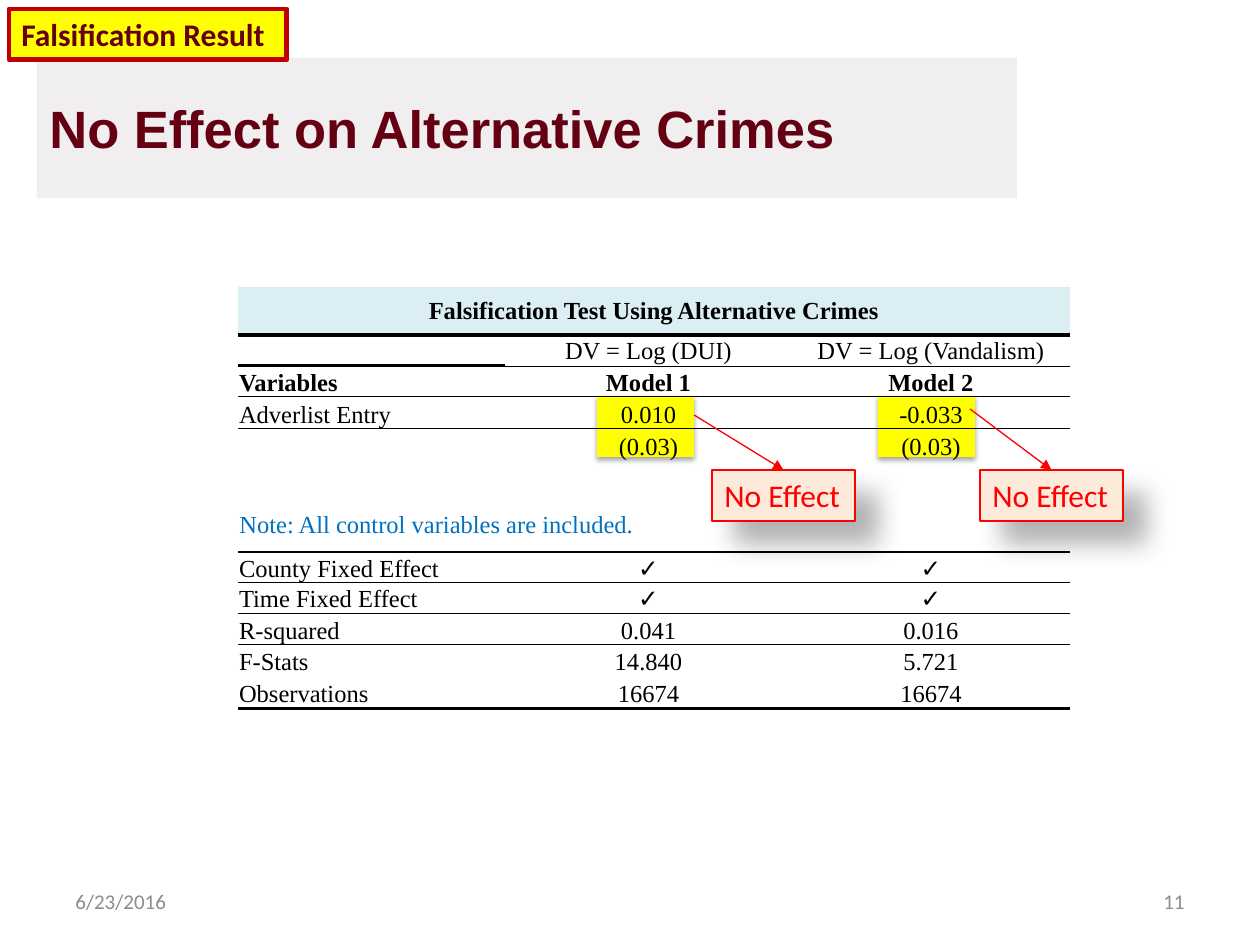
from dataclasses import dataclass
from lxml import etree
from pptx import Presentation
from pptx import util as u
from pptx.dml.color import RGBColor
from pptx.enum import shapes, text
from pptx.oxml.ns import qn


@dataclass(frozen=True)
class Theme:
    """Colours, fonts and type sizes of the slide."""
    wine: str = "650013"
    pale: str = "F0EEEF"
    gold: str = "FFFF00"
    red: str = "FF0000"
    brick: str = "C00000"
    peach: str = "FDEADA"
    sky: str = "DBEEF4"
    blue: str = "0070C0"
    grey: str = "8C8C8C"
    black: str = "000000"
    sans: str = "Calibri"
    head: str = "Arial"
    serif: str = "Times New Roman"
    big: int = 30
    mid: int = 18
    body: int = 14
    small: int = 12


T = Theme()
LEFT, MID, RIGHT = text.PP_ALIGN.LEFT, text.PP_ALIGN.CENTER, text.PP_ALIGN.RIGHT
PLAIN = "{2D5ABB26-0587-4C30-8999-92F81FD0307C}"
TICK = "✓"
ROWS = [
    ("Falsification Test Using Alternative Crimes", "", ""),
    ("", "DV = Log (DUI)", "DV = Log (Vandalism)"),
    ("Variables", "Model 1", "Model 2"),
    ("Adverlist Entry", "0.010", "-0.033"),
    ("", "(0.03)", "(0.03)"),
    ("", "", ""),
    ("", "", ""),
    ("", "", ""),
    ("County Fixed Effect", TICK, TICK),
    ("Time Fixed Effect", TICK, TICK),
    ("R-squared", "0.041", "0.016"),
    ("F-Stats", "14.840", "5.721"),
    ("Observations", "16674", "16674"),
]
COLS = (267, 287, 278)
HIGH = (48, 31, 30, 32, 32, 30, 30, 29, 31, 30, 31, 31, 32)
RULES = {0: 2, 1: 0.5, 2: 0.5, 7: 1, 9: 0.5, 12: 2}
BOLD = (0, 2)
LOOSE = (3, 4, 10, 11, 12)


def px(n):
    """Turn pixels into EMU."""
    return u.Emu(round(n * 914400 / 126))


def rgb(code):
    """Turn a hex code into a colour."""
    return RGBColor.from_string(code)


def style(para, font, size, color, bold=False, align=LEFT):
    """Format a paragraph and its runs."""
    para.alignment = align
    for run in para.runs:
        run.font.name, run.font.size, run.font.bold = font, u.Pt(size), bold
        run.font.color.rgb = rgb(color)


def write(shape, words, *look, wrap=True, anchor=text.MSO_ANCHOR.TOP, **more):
    """Put one styled line in a shape."""
    frame = shape.text_frame
    frame.text = words
    frame.word_wrap = wrap
    frame.vertical_anchor = anchor
    style(frame.paragraphs[0], *look, **more)


def label(slide, box, *look, **more):
    """Add a text box."""
    write(slide.shapes.add_textbox(*map(px, box)), *look, **more)


def block(slide, box, fill, line=None, width=0.75):
    """Add a filled rectangle."""
    shape = slide.shapes.add_shape(shapes.MSO_SHAPE.RECTANGLE, *map(px, box))
    shape.shadow.inherit = False
    shape.fill.solid()
    shape.fill.fore_color.rgb = rgb(fill)
    if line:
        shape.line.color.rgb = rgb(line)
        shape.line.width = u.Pt(width)
    else:
        shape.line.fill.background()
    return shape


def shade(shape, alpha, blur, dist, angle):
    """Give a shape an outer shadow."""
    effects = shape._element.spPr.find(qn("a:effectLst"))
    outer = etree.SubElement(
        effects, qn("a:outerShdw"), blurRad=str(u.Pt(blur)), dist=str(u.Pt(dist)),
        dir=str(angle * 60000), algn="tl", rotWithShape="0")
    color = etree.SubElement(outer, qn("a:srgbClr"), val=T.black)
    etree.SubElement(color, qn("a:alpha"), val=str(alpha * 1000))


def callout(slide, left, start):
    """Add a boxed remark with an arrow that leads to it."""
    box = block(slide, (left, 470, 143, 51), T.peach, T.red)
    shade(box, 30, 15, 18, 45)
    write(box, "No Effect", T.sans, T.mid, T.red, wrap=False)
    arrow = slide.shapes.add_connector(
        shapes.MSO_CONNECTOR.STRAIGHT, *map(px, (*start, left, 470)))
    arrow.end_connect(box, 0)
    arrow.line.color.rgb = rgb(T.red)
    arrow.line.width = u.Pt(0.75)
    etree.SubElement(arrow.line._get_or_add_ln(), qn("a:tailEnd"), type="triangle")
    etree.SubElement(arrow._element.spPr, qn("a:effectLst"))


def edge(cell, side, width):
    """Draw one border of a cell."""
    line = etree.SubElement(cell._tc.get_or_add_tcPr(), qn("a:ln" + side),
                            w=str(u.Pt(width)))
    fill = etree.SubElement(line, qn("a:solidFill"))
    etree.SubElement(fill, qn("a:srgbClr"), val=T.black)


def entry(cell, row, col, words):
    """Fill and format one table cell."""
    cell.margin_left = cell.margin_right = cell.margin_top = px(1)
    cell.margin_bottom = 0
    cell.vertical_anchor = text.MSO_ANCHOR.MIDDLE if row < 2 else text.MSO_ANCHOR.BOTTOM
    for side, rule in (("T", row - 1), ("B", row)):
        if rule in RULES and (rule != 1 or col):
            edge(cell, side, RULES[rule])
    if row:
        cell.fill.background()
    else:
        cell.fill.solid()
        cell.fill.fore_color.rgb = rgb(T.sky)
    para = cell.text_frame.paragraphs[0]
    if not words:
        etree.SubElement(para._p, qn("a:endParaRPr"), sz=str(T.body * 100))
        return
    para.text = words
    style(para, T.head if words == TICK else T.serif, T.body, T.black,
          row in BOLD, MID if col or not row else LEFT)
    if col and row in LOOSE:
        para.line_spacing = 1.07
        cell.margin_top = 0


def grid(slide):
    """Add the table of results."""
    box = map(px, (238, 287, sum(COLS), sum(HIGH)))
    table = slide.shapes.add_table(len(ROWS), len(COLS), *box).table
    table.first_row = table.horz_banding = False
    table._tbl.tblPr.find(qn("a:tableStyleId")).text = PLAIN
    for col, width in zip(table.columns, COLS):
        col.width = px(width)
    for row, high in zip(table.rows, HIGH):
        row.height = px(high)
    for r, row in enumerate(ROWS):
        for c, words in enumerate(row):
            entry(table.cell(r, c), r, c, words)
    table.cell(0, 0).merge(table.cell(0, 2))


def main():
    """Build and save the slide."""
    deck = Presentation()
    deck.slide_width, deck.slide_height = px(1260), px(945)
    slide = deck.slides.add_slide(deck.slide_layouts[6])
    middle = text.MSO_ANCHOR.MIDDLE
    write(block(slide, (37, 58, 980, 140), T.pale), "No Effect on Alternative Crimes",
          T.head, T.big, T.wine, True, anchor=middle)
    for left in (597, 878):
        shade(block(slide, (left, 396, 97, 61), T.gold), 35, 3.1, 1.8, 90)
    foot = T.sans, T.small, T.grey
    label(slide, (63, 876, 294, 50), "6/23/2016", *foot, anchor=middle)
    label(slide, (903, 876, 294, 50), "11", *foot, align=RIGHT, anchor=middle)
    label(slide, (227, 503, 422, 43), "Note: All control variables are included.",
          T.serif, T.body, T.blue, wrap=False)
    grid(slide)
    callout(slide, 712, (694, 415))
    callout(slide, 980, (970, 409))
    write(block(slide, (9, 9, 278, 51), T.gold, T.brick, 2.75), "Falsification Result",
          T.sans, T.mid, T.wine, True, wrap=False)
    deck.save("out.pptx")


if __name__ == "__main__":
    main()
